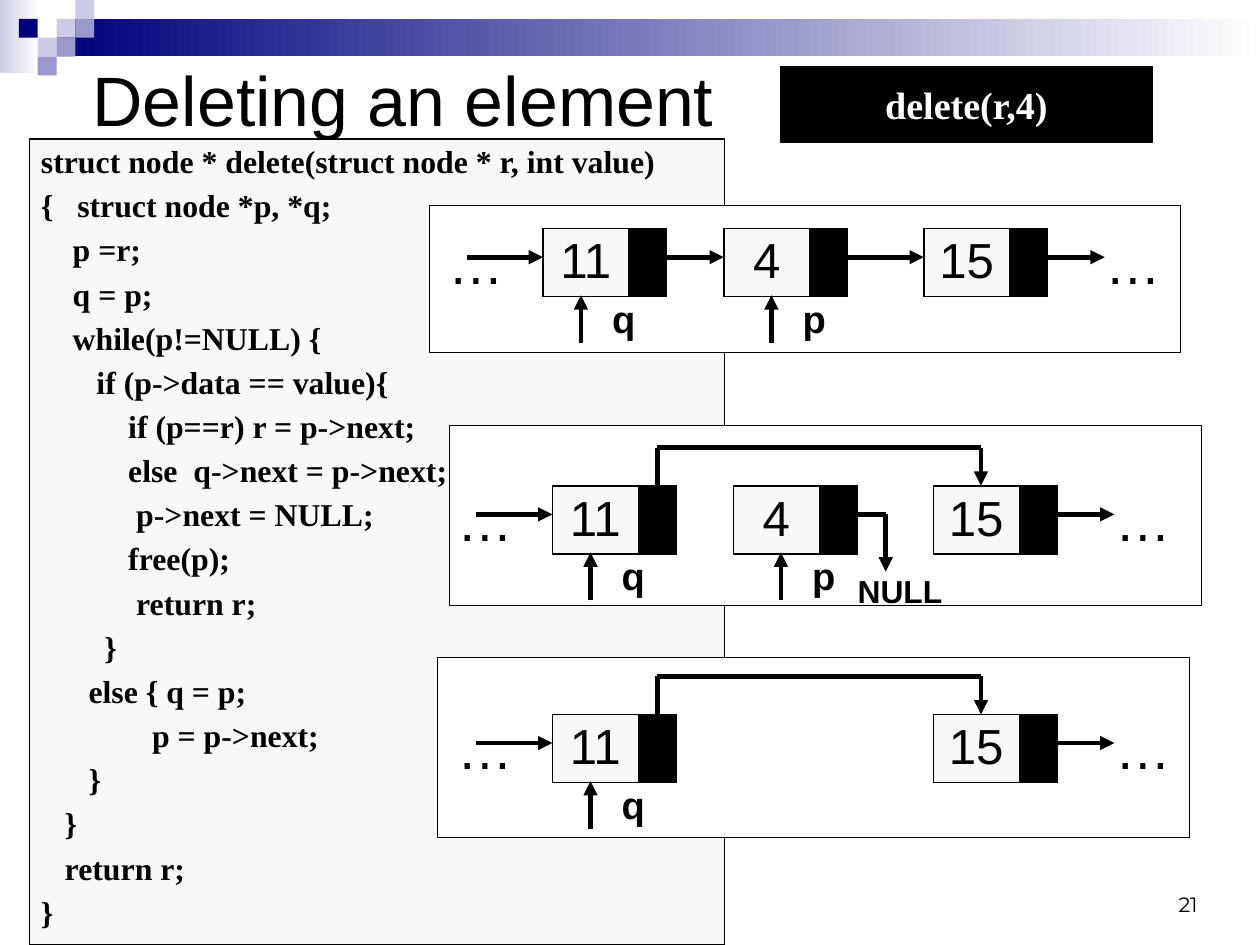
"""Build the slide on deleting an element from a linked list."""
from lxml.etree import SubElement
from pptx import Presentation
from pptx.dml.color import RGBColor
from pptx.enum.shapes import MSO_CONNECTOR, MSO_SHAPE
from pptx.enum.text import MSO_ANCHOR, PP_ALIGN
from pptx.oxml.ns import qn
from pptx.util import Pt

BLACK = RGBColor(0, 0, 0)
WHITE = RGBColor(255, 255, 255)
PALE = RGBColor(0xF8, 0xF8, 0xF8)
NAVY = RGBColor(0, 0, 0x7D)
LILAC = RGBColor(0xCC, 0xCC, 0xE6)
MAUVE = RGBColor(0x99, 0x99, 0xCC)

CODE = """struct node * delete(struct node * r, int value)
{   struct node *p, *q;
    p =r;
    q = p;
    while(p!=NULL) {
       if (p->data == value){
           if (p==r) r = p->next;
           else  q->next = p->next;
            p->next = NULL;
           free(p);
            return r;
        }
      else { q = p;
              p = p->next;
      }
   }
   return r;
}"""


def write(frame, text, size=24, font="Arial", color=BLACK, bold=False,
          align=PP_ALIGN.LEFT, anchor=MSO_ANCHOR.TOP, inset=(0, 0, 0, 0),
          gap=0, space=1.0, hang=0):
    """Fill a text frame with one paragraph per line of text."""
    frame.word_wrap = True
    frame.vertical_anchor = anchor
    (frame.margin_left, frame.margin_top,
     frame.margin_right, frame.margin_bottom) = map(Pt, inset)
    for num, line in enumerate(text.split("\n")):
        para = frame.add_paragraph() if num else frame.paragraphs[0]
        if hang:
            props = para._p.get_or_add_pPr()
            props.set("marL", str(Pt(hang)))
            props.set("indent", str(-Pt(hang)))
        para.alignment = align
        para.line_spacing = space
        para.space_before = Pt(gap if num else 0)
        run = para.add_run()
        run.text = line
        run.font.size = Pt(size)
        run.font.name = font
        run.font.bold = bold
        run.font.color.rgb = color


class Board:
    """Hold the style and the current slide."""

    def __init__(self, slide, thick=3, thin=0.75):
        """Keep the slide and its line widths."""
        self.slide = slide
        self.shapes = slide.shapes
        self.thick = thick
        self.thin = thin

    def title(self, text, box, **style):
        """Move and fill the title."""
        head = self.shapes.title
        head.left, head.top, head.width, head.height = map(Pt, box)
        write(head.text_frame, text, **style)

    def box(self, box, fill, line=None, text=None, **style):
        """Add a filled box; two fill colours make a blend."""
        shape = self.shapes.add_shape(MSO_SHAPE.RECTANGLE, *map(Pt, box))
        shape.shadow.inherit = False
        if isinstance(fill, list):
            shape.fill.gradient()
            shape.fill.gradient_angle = 0
            for stop, color, place in zip(shape.fill.gradient_stops, fill, (0, 1)):
                stop.color.rgb = color
                stop.position = place
        else:
            shape.fill.solid()
            shape.fill.fore_color.rgb = fill
        if line:
            shape.line.color.rgb = BLACK
            shape.line.width = Pt(line)
        else:
            shape.line.fill.background()
        if text:
            write(shape.text_frame, text, **style)

    def label(self, text, box, **style):
        """Add a text box."""
        write(self.shapes.add_textbox(*map(Pt, box)).text_frame, text, **style)

    def route(self, *points):
        """Join points by straight lines with an arrowhead at the end."""
        for start, end in zip(points, points[1:]):
            line = self.shapes.add_connector(
                MSO_CONNECTOR.STRAIGHT, *map(Pt, start + end))
            line.line.color.rgb = BLACK
            line.line.width = Pt(self.thick)
            props = line._element.spPr
            if end == points[-1]:
                SubElement(props.find(qn("a:ln")), qn("a:tailEnd"), type="triangle")
            SubElement(props, qn("a:effectLst"))

    def node(self, text, left, top):
        """Add a list node with a value cell and a link cell."""
        table = self.shapes.add_table(
            1, 2, Pt(left), Pt(top), Pt(78), Pt(42)).table
        table.first_row = table.horz_banding = False
        for num, (width, fill) in enumerate(((54, PALE), (24, BLACK))):
            table.columns[num].width = Pt(width)
            cell = table.cell(0, num)
            cell.margin_top, cell.margin_bottom = Pt(3.6), Pt(2)
            props = cell._tc.get_or_add_tcPr()
            for side in ("lnL", "lnR", "lnT", "lnB"):
                inner = side == ("lnL" if num else "lnR")
                edge = SubElement(props, qn("a:" + side),
                                  w=str(Pt(0.45 if inner else 1.08)))
                paint = SubElement(edge, qn("a:solidFill"))
                SubElement(paint, qn("a:srgbClr"), val=str(BLACK))
            cell.fill.solid()
            cell.fill.fore_color.rgb = fill
        write(table.cell(0, 0).text_frame, text, size=31,
              align=PP_ALIGN.CENTER, inset=(7.2, 3.6, 7.2, 2))

    def chain(self, left, top, panel, nodes, marks, paths):
        """Draw one state of the list, placed from its left dots."""
        self.box(panel, WHITE, self.thin)
        for text, x in nodes:
            self.node(text, left + x, top)
        for x in (0, 414):
            self.label("…", (left + x, top, 48, 42), size=35,
                       align=PP_ALIGN.CENTER)
        for text, x in marks:
            self.route((left + x, top + 72), (left + x, top + 42))
            self.label(text, (left + x + 6, top + 42, 42, 29), bold=True,
                       align=PP_ALIGN.CENTER)
        ends = [[(18, 18), (66, 18)], [(372, 18), (420, 18)]]
        for points in ends + paths:
            self.route(*[(left + x, top + y) for x, y in points])


def main():
    """Build and save the slide."""
    deck = Presentation()
    deck.slide_width = Pt(793.75)
    deck.slide_height = Pt(595.25)
    board = Board(deck.slides.add_slide(deck.slide_layouts[5]))

    board.box((0, 0, 24.5, 46), [LILAC, WHITE])
    board.box((36, 11.9, 757.75, 23.6), [NAVY, WHITE])
    step = 11.88
    for col, row, color in ((3, 1, LILAC), (4, 0, LILAC), (4, 1, MAUVE),
                            (2, 2, LILAC), (1, 1, NAVY), (3, 2, MAUVE),
                            (2, 3, MAUVE)):
        board.box((col * step, row * step, step, step), color)

    board.label("21", (577.5, 542, 185, 39.6), size=13, font="Montserrat",
                align=PP_ALIGN.RIGHT, anchor=MSO_ANCHOR.BOTTOM,
                inset=(8, 4.3, 8, 4.3))
    board.title("Deleting an element", (36.7, 26.6, 749.5, 67), size=44,
                anchor=MSO_ANCHOR.MIDDLE, inset=(21.6, 8.6, 8, 4.3))
    board.box((18.7, 87.6, 437.8, 507.6), PALE, 1, CODE, size=20,
              font="Times New Roman", bold=True, inset=(7.2, 3.6, 7.2, 3.6),
              gap=5, space=0.95, hang=29.5)

    first, mid, last = ("11", 66), ("4", 180), ("15", 306)
    q, p = ("q", 90), ("p", 210)
    skip = [(132, 18), (132, -24), (336, -24), (336, 0)]
    board.chain(276, 144, (270.7, 129.6, 473, 92.2), [first, mid, last], [q, p],
                [[(132, 18), (180, 18)], [(252, 18), (306, 18)]])
    board.chain(282, 306, (283, 267.8, 473.8, 113.8), [first, mid, last], [q, p],
                [skip, [(252, 18), (276, 18), (276, 54)]])
    board.label("NULL", (534, 360, 66, 24), size=20, bold=True,
                align=PP_ALIGN.CENTER)
    board.chain(282, 450, (275.8, 414, 473.8, 113.8), [first, last], [q], [skip])

    board.box((491.8, 41.8, 234, 48.2), BLACK, 0.75, "delete(r,4)",
              font="Times New Roman", color=WHITE, bold=True,
              align=PP_ALIGN.CENTER, anchor=MSO_ANCHOR.MIDDLE)
    deck.save("out.pptx")


if __name__ == "__main__":
    main()
